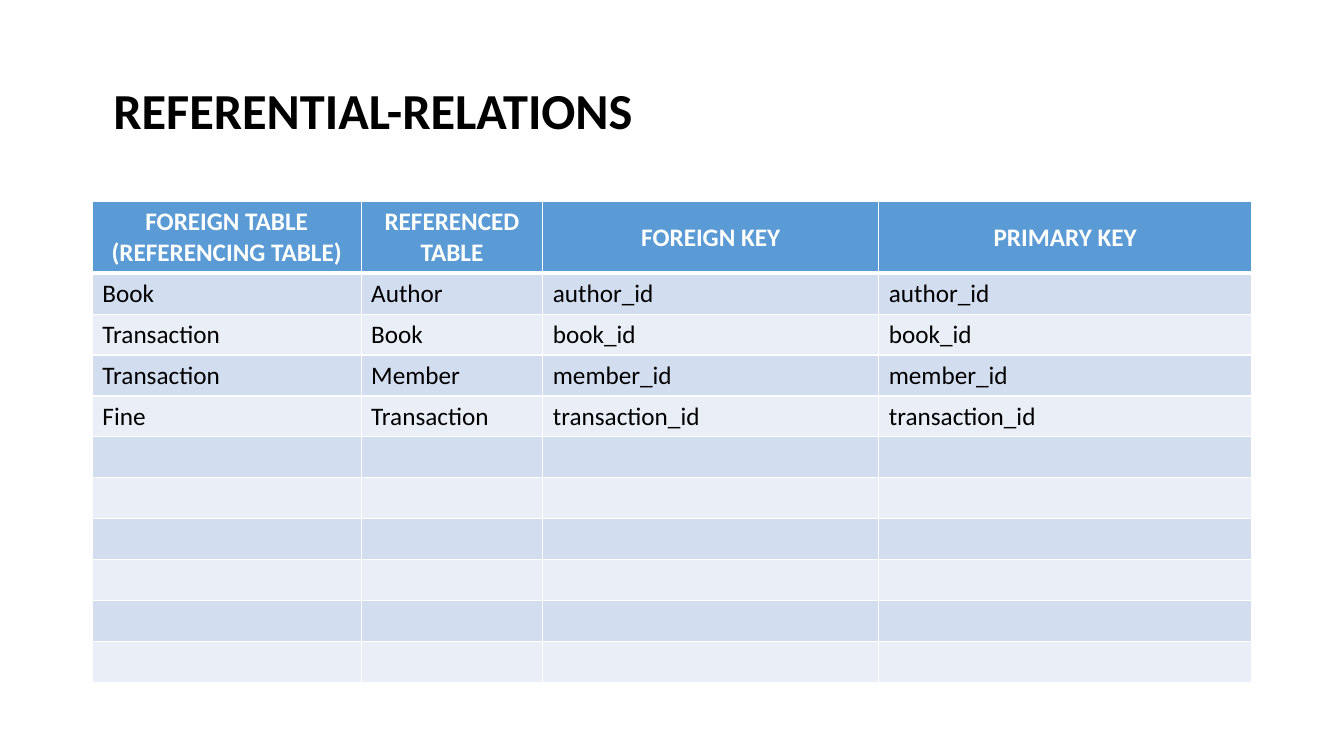
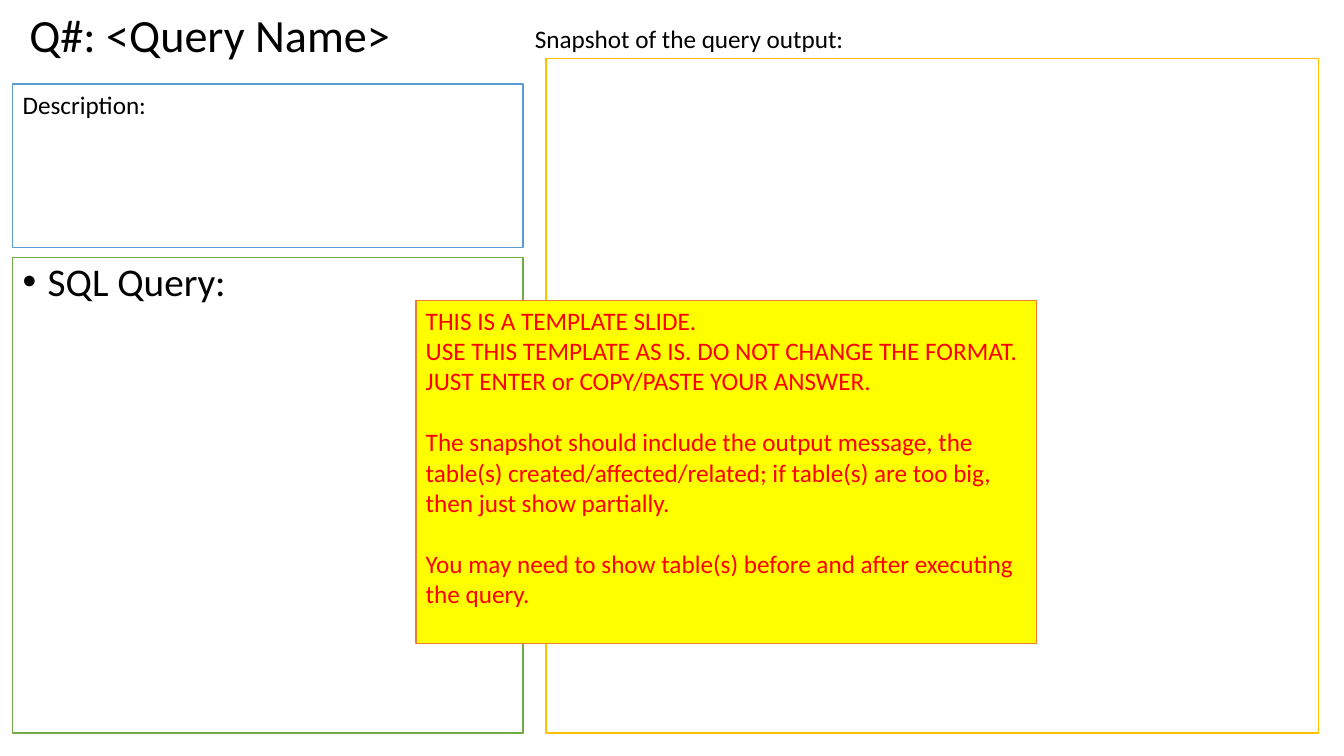
from dataclasses import dataclass, field
from typing import Any

from lxml import etree
from pptx import Presentation
from pptx.dml.color import RGBColor
from pptx.enum.shapes import MSO_SHAPE
from pptx.enum.text import MSO_ANCHOR, MSO_AUTO_SIZE, PP_ALIGN
from pptx.oxml.ns import qn
from pptx.slide import Slide
from pptx.table import _Cell
from pptx.text.text import TextFrame, _Paragraph
from pptx.util import Emu, Pt

RECTANGLE = MSO_SHAPE.RECTANGLE
TOP, MIDDLE = MSO_ANCHOR.TOP, MSO_ANCHOR.MIDDLE
LEFT, CENTER = PP_ALIGN.LEFT, PP_ALIGN.CENTER
NO_AUTOFIT = MSO_AUTO_SIZE.NONE
TITLE_ONLY = 5
EMU_PER_PX = 9525


@dataclass(frozen=True)
class Theme:
    font: str = "Calibri"
    black: str = "000000"
    white: str = "FFFFFF"
    red: str = "FF0000"
    yellow: str = "FFFF00"
    blue: str = "5B9BD5"
    green: str = "70AD47"
    gold: str = "FFC000"
    orange: str = "ED7D31"
    bands: tuple[str, str] = ("D2DEEF", "EAEFF7")
    body_size: int = 18
    query_size: int = 28
    template_title_size: int = 33
    title_size: int = 36
    paragraph_gap: int = 22
    outline: float = 1
    cell_border: float = 0.96
    header_border: float = 3


THEME = Theme()


@dataclass(frozen=True)
class Area:
    left: int
    top: int
    width: int
    height: int

    def emu(self) -> tuple[Emu, Emu, Emu, Emu]:
        return px(self.left), px(self.top), px(self.width), px(self.height)


@dataclass(frozen=True)
class Line:
    text: str
    size: int = THEME.body_size
    color: str = THEME.black
    bold: bool = False
    bullet: bool = False
    format: dict[str, Any] = field(default_factory=dict)


@dataclass(frozen=True)
class Panel:
    area: Area
    outline: str
    fill: str = THEME.white
    lines: tuple[Line, ...] = ()


SLIDE_SIZE = (1280, 720)
TABLE_AREA = Area(88, 192, 1104, 457)
COLUMN_WIDTHS = (256, 173, 320, 355)
ROW_HEIGHT = 39
EMPTY_ROWS = 6
HEADERS = ("FOREIGN TABLE (REFERENCING TABLE)", "REFERENCED TABLE",
           "FOREIGN KEY", "PRIMARY KEY")
RELATIONS = (
    ("Book", "Author", "author_id"),
    ("Transaction", "Book", "book_id"),
    ("Transaction", "Member", "member_id"),
    ("Fine", "Transaction", "transaction_id"),
)

NOTICE_GAP = {"space_before": Pt(THEME.paragraph_gap)}
NOTICE = (
    ("THIS IS A TEMPLATE SLIDE.", {}),
    ("USE THIS TEMPLATE AS IS. DO NOT CHANGE THE FORMAT.", {}),
    ("JUST ENTER or COPY/PASTE YOUR ANSWER.", {}),
    ("The snapshot should include the output message, the table(s) "
     "created/affected/related; if table(s) are too big, then just show "
     "partially.", NOTICE_GAP),
    ("You may need to show table(s) before and after executing the query.",
     NOTICE_GAP),
)
CAPTION_AREA = Area(500, 17, 357, 38)
QUERY_PANEL = Panel(
    Area(12, 245, 486, 453), THEME.green,
    lines=(Line("SQL Query:", THEME.query_size, bullet=True,
                format={"line_spacing": 0.9}),))
SNAPSHOT_PANEL = Panel(Area(520, 56, 736, 642), THEME.gold)
DESCRIPTION_PANEL = Panel(Area(12, 80, 486, 156), THEME.blue,
                          lines=(Line("Description:"),))
NOTICE_PANEL = Panel(
    Area(396, 286, 591, 327), THEME.orange, THEME.yellow,
    tuple(Line(text, color=THEME.red, format=gaps) for text, gaps in NOTICE))


def px(length: int) -> Emu:
    return Emu(length * EMU_PER_PX)


def rgb(color: str) -> RGBColor:
    return RGBColor.from_string(color)


def set_all(target: Any, values: dict[str, Any]) -> None:
    for name, value in values.items():
        setattr(target, name, value)


def add_bullet(para: _Paragraph) -> None:
    properties = para._p.get_or_add_pPr()
    properties.set("marL", str(px(24)))
    properties.set("indent", str(px(-24)))
    etree.SubElement(properties, qn("a:buFont")).set("typeface", "Arial")
    etree.SubElement(properties, qn("a:buChar")).set("char", "•")


def write_line(para: _Paragraph, line: Line) -> None:
    set_all(para, {"alignment": LEFT, **line.format})
    if line.bullet:
        add_bullet(para)
    span = para.add_run()
    span.text = line.text
    set_all(span.font, {"name": THEME.font, "size": Pt(line.size),
                        "bold": line.bold})
    span.font.color.rgb = rgb(line.color)


def write_lines(frame: TextFrame, lines: tuple[Line, ...],
                **frame_format: Any) -> None:
    set_all(frame, {"auto_size": NO_AUTOFIT, "word_wrap": True,
                    "vertical_anchor": TOP, **frame_format})
    for index, line in enumerate(lines):
        para = frame.add_paragraph() if index else frame.paragraphs[0]
        write_line(para, line)


def add_titled_slide(deck: Any, area: Area, title: Line,
                     inset: int = 10) -> Slide:
    page = deck.slides.add_slide(deck.slide_layouts[TITLE_ONLY])
    box = page.shapes.title
    set_all(box, dict(zip(("left", "top", "width", "height"), area.emu())))
    write_lines(box.text_frame, (title,), vertical_anchor=MIDDLE,
                margin_left=px(inset))
    return page


def add_panel(page: Slide, panel: Panel) -> None:
    box = page.shapes.add_shape(RECTANGLE, *panel.area.emu())
    box.shadow.inherit = False
    box.fill.solid()
    box.fill.fore_color.rgb = rgb(panel.fill)
    box.line.color.rgb = rgb(panel.outline)
    box.line.width = Pt(THEME.outline)
    write_lines(box.text_frame, panel.lines)


def set_borders(cell: _Cell, top: float, bottom: float) -> None:
    """Draw white borders; they must precede the fill in the cell's XML."""
    widths = {"a:lnL": THEME.cell_border, "a:lnR": THEME.cell_border,
              "a:lnT": top, "a:lnB": bottom}
    properties = cell._tc.get_or_add_tcPr()
    for index, (tag, width) in enumerate(widths.items()):
        border = etree.Element(qn(tag), w=str(Pt(width)))
        fill = etree.SubElement(border, qn("a:solidFill"))
        etree.SubElement(fill, qn("a:srgbClr")).set("val", THEME.white)
        properties.insert(index, border)


def fill_cell(cell: _Cell, row: int, text: str) -> None:
    is_header = row == 0
    cell.fill.solid()
    cell.fill.fore_color.rgb = rgb(
        THEME.blue if is_header else THEME.bands[(row - 1) % 2])
    set_borders(cell,
                THEME.header_border if row == 1 else THEME.cell_border,
                THEME.header_border if is_header else THEME.cell_border)
    cell.vertical_anchor = MIDDLE if is_header else TOP
    para = cell.text_frame.paragraphs[0]
    if is_header:
        write_line(para, Line(text, color=THEME.white, bold=True,
                              format={"alignment": CENTER}))
    elif text:
        write_line(para, Line(text))
    else:
        para.font.size = Pt(THEME.body_size)


def add_relations_table(page: Slide) -> None:
    filled = [(*relation, relation[-1]) for relation in RELATIONS]
    rows = [HEADERS, *filled, *[("",) * len(HEADERS)] * EMPTY_ROWS]
    table = page.shapes.add_table(len(rows), len(HEADERS),
                                  *TABLE_AREA.emu()).table
    for column, width in zip(table.columns, COLUMN_WIDTHS):
        column.width = px(width)
    header_height = TABLE_AREA.height - ROW_HEIGHT * (len(rows) - 1)
    for row, texts in enumerate(rows):
        table.rows[row].height = px(ROW_HEIGHT if row else header_height)
        for column, text in enumerate(texts):
            fill_cell(table.cell(row, column), row, text)


def build_relations(deck: Any) -> None:
    title = Line("REFERENTIAL-RELATIONS", THEME.title_size, bold=True,
                 format={"line_spacing": 0.9})
    page = add_titled_slide(deck, Area(88, 38, 1104, 139), title, inset=20)
    add_relations_table(page)


def build_query_template(deck: Any) -> None:
    title = Line("Q#: <Query Name>", THEME.template_title_size,
                 format={"line_spacing": 0.7})
    page = add_titled_slide(deck, Area(18, 16, 453, 46), title)
    add_panel(page, QUERY_PANEL)
    add_panel(page, SNAPSHOT_PANEL)
    caption = page.shapes.add_textbox(*CAPTION_AREA.emu())
    write_lines(caption.text_frame, (Line("Snapshot of the query output:"),),
                word_wrap=False)
    add_panel(page, DESCRIPTION_PANEL)
    add_panel(page, NOTICE_PANEL)


def main() -> None:
    deck = Presentation()
    deck.slide_width, deck.slide_height = map(px, SLIDE_SIZE)
    build_relations(deck)
    build_query_template(deck)
    deck.save("out.pptx")


if __name__ == "__main__":
    main()
